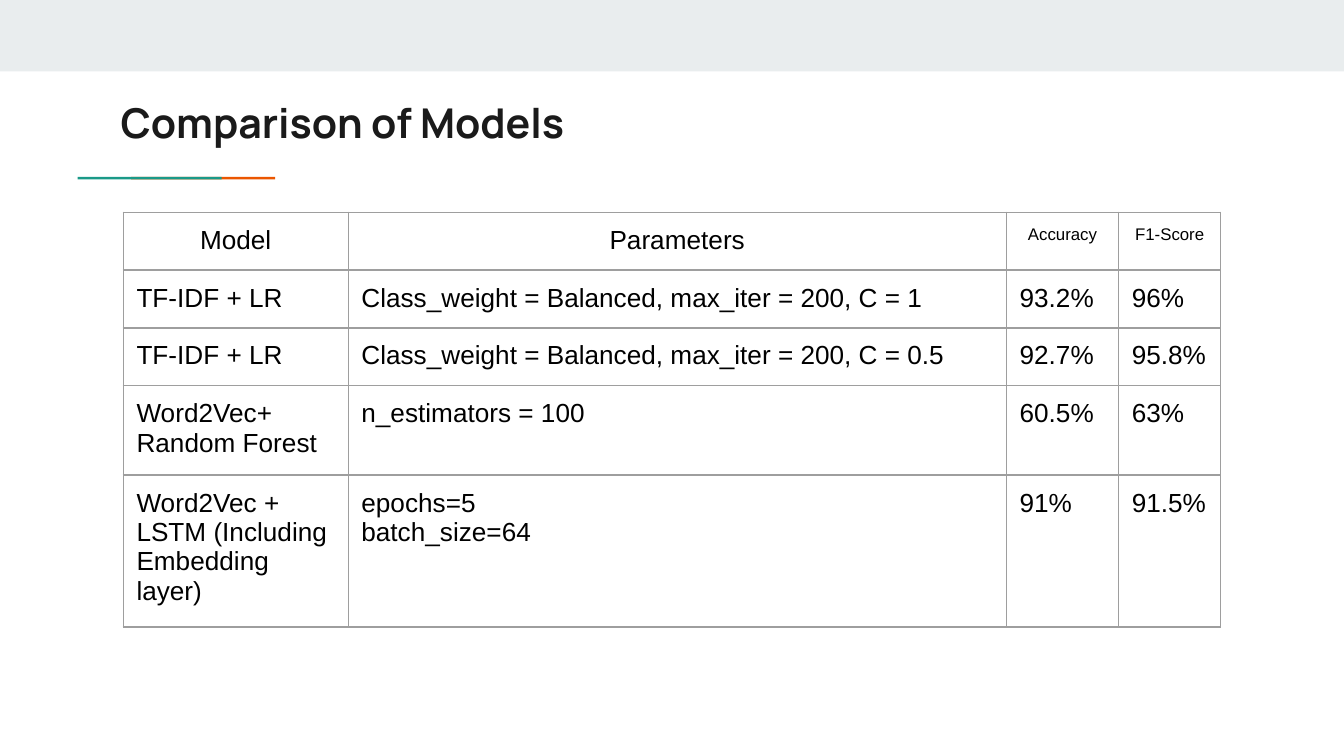
from dataclasses import dataclass

from pptx import Presentation
from pptx.dml.color import RGBColor as Rgb
from pptx.enum.shapes import MSO_SHAPE as Shape
from pptx.enum.text import MSO_ANCHOR as Anchor, PP_ALIGN as Align
from pptx.oxml import parse_xml
from pptx.oxml.ns import nsdecls
from pptx.util import Cm, Pt


@dataclass(frozen=True)
class Theme:
    band: str = "E9EDEE"
    teal: str = "1A9988"
    orange: str = "EB5600"
    ink: str = "1A1A1A"
    black: str = "000000"
    grid: str = "9E9E9E"
    head: str = "Manrope"
    body: str = "Arial"
    title: int = 22
    text: int = 14
    small: int = 9
    line: float = 0.75


THEME = Theme()
PAD = {f"margin_{side}": Cm(0.25) for side in ("left", "right", "top", "bottom")}
WIDTHS = (4.25, 12.44, 2.12, 1.93)
ROW = 1.06
HEADS = ("Model", "Parameters", "Accuracy", "F1-Score")
MODELS = (
    ("TF-IDF + LR", "Class_weight = Balanced, max_iter = 200, C = 1", "93.2%", "96%"),
    ("TF-IDF + LR", "Class_weight = Balanced, max_iter = 200, C = 0.5", "92.7%", "95.8%"),
    ("Word2Vec+ Random Forest", "n_estimators = 100", "60.5%", "63%"),
    ("Word2Vec + LSTM (Including Embedding layer)", "epochs=5\nbatch_size=64",
     "91%", "91.5%"),
)


def apply(item, form):
    for name, value in form.items():
        setattr(item, name, value)


def write(frame, text, color, align=Align.LEFT, **font):
    frame.text = text
    for para in frame.paragraphs:
        para.alignment = align
        for run in para.runs:
            apply(run.font, font)
            run.font.color.rgb = Rgb.from_string(color)


def add_bar(slide, box, color, turn=0):
    bar = slide.shapes.add_shape(Shape.RECTANGLE, *map(Cm, box))
    bar.rotation = turn
    bar.shadow.inherit = False
    bar.fill.solid()
    bar.fill.fore_color.rgb = Rgb.from_string(color)
    bar.line.fill.background()


def add_accent(slide, box):
    # Two equal upright bars laid flat, teal overlapping orange
    left, top, width, thick = box
    size = 2.72
    for start, color in ((width - size, THEME.orange), (0, THEME.teal)):
        mid = left + start + size / 2
        upright = (mid - thick / 2, top + thick / 2 - size / 2, thick, size)
        add_bar(slide, upright, color, 270)


def add_title(slide, box, text):
    frame = slide.shapes.add_textbox(*map(Cm, box)).text_frame
    apply(frame, {**PAD, "word_wrap": True, "vertical_anchor": Anchor.TOP})
    write(frame, text, THEME.ink, name=THEME.head, size=Pt(THEME.title), bold=True)


def add_edges(cell):
    # Borders come before the fill in the cell properties
    props = cell._tc.get_or_add_tcPr()
    for spot, side in enumerate(("lnL", "lnR", "lnT", "lnB")):
        props.insert(spot, parse_xml(
            f'<a:{side} {nsdecls("a")} w="{Pt(THEME.line)}"><a:solidFill>'
            f'<a:srgbClr val="{THEME.grid}"/></a:solidFill></a:{side}>'))


def add_scores(slide, box):
    rows = (HEADS, *MODELS)
    holder = slide.shapes.add_table(len(rows), len(HEADS), *map(Cm, box))
    table = holder.table
    apply(table, {"first_row": False, "horz_banding": False})
    for col, width in zip(table.columns, WIDTHS):
        col.width = Cm(width)
    # Rows grow with their text up to the height of the box
    for row in table.rows:
        row.height = Cm(ROW)
    holder.height = Cm(box[3])

    for i, texts in enumerate(rows):
        for j, text in enumerate(texts):
            cell = table.cell(i, j)
            apply(cell, {**PAD, "vertical_anchor": Anchor.TOP})
            cell.fill.background()
            add_edges(cell)
            size = THEME.small if i == 0 and j > 1 else THEME.text
            write(cell.text_frame, text, THEME.black,
                  Align.CENTER if i == 0 else Align.LEFT,
                  name=THEME.body, size=Pt(size), bold=False)


def main():
    deck = Presentation()
    apply(deck, {"slide_width": Cm(25.4), "slide_height": Cm(14.29)})
    slide = deck.slides.add_slide(deck.slide_layouts[6])
    # Top band and heading
    add_bar(slide, (0, 0, 25.4, 1.35), THEME.band)
    add_accent(slide, (1.47, 3.34, 3.73, 0.05))
    add_title(slide, (2.03, 1.6, 21.36, 1.5), "Comparison of Models")
    # Results table
    add_scores(slide, (2.33, 4.01, sum(WIDTHS), 7.52))
    deck.save("out.pptx")


if __name__ == "__main__":
    main()
